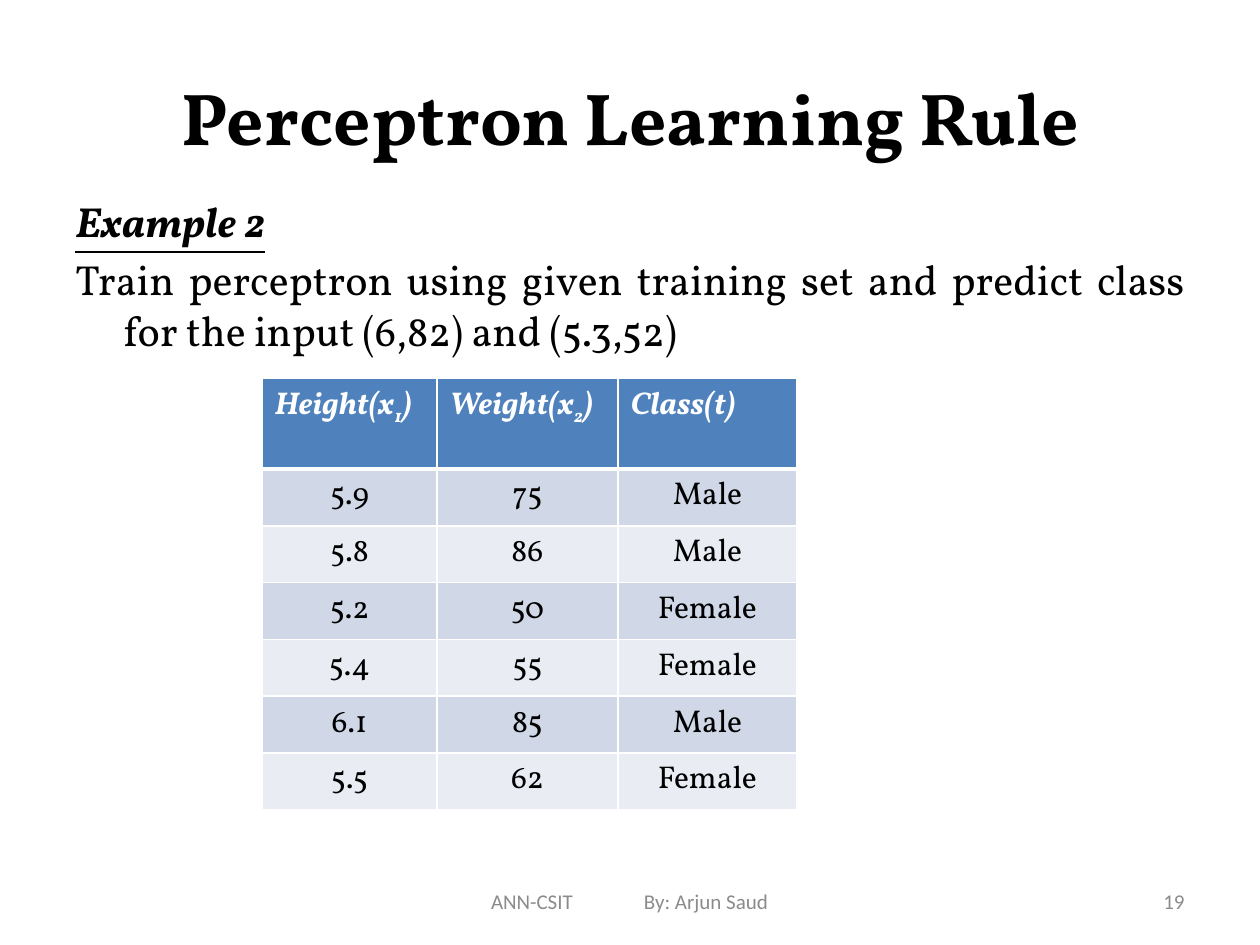
from lxml import etree
from pptx import Presentation
from pptx.dml.color import RGBColor
from pptx.enum.text import MSO_ANCHOR, PP_ALIGN
from pptx.oxml.ns import qn
from pptx.util import Emu, Pt

EMU_PER_PX = 914400 / 126
BLACK = RGBColor(0x00, 0x00, 0x00)
WHITE = RGBColor(0xFF, 0xFF, 0xFF)
GREY = RGBColor(0x8B, 0x8B, 0x8B)
BLUE = RGBColor(0x4F, 0x81, 0xBD)
BANDS = (RGBColor(0xD0, 0xD8, 0xE7), RGBColor(0xE9, 0xEC, 0xF3))
SERIF, SANS = "Vollkorn", "Calibri"
CENTER, RIGHT, JUSTIFY, LEFT = PP_ALIGN.CENTER, PP_ALIGN.RIGHT, PP_ALIGN.JUSTIFY, PP_ALIGN.LEFT
TOP, MIDDLE, BOTTOM = MSO_ANCHOR.TOP, MSO_ANCHOR.MIDDLE, MSO_ANCHOR.BOTTOM
THIN, THICK = Pt(0.96), Pt(3)

COLUMN_WIDTHS = (175, 181, 179)
HEADER_HEIGHT, ROW_HEIGHT = 91, 51
# Each heading: text, subscript, closing text
HEADINGS = (("Height(x", "1", ")"), ("Weight(x", "2", ")"), ("Class(t)",))
SAMPLES = (
    ("5.9", "75", "Male"),
    ("5.8", "86", "Male"),
    ("5.2", "50", "Female"),
    ("5.4", "55", "Female"),
    ("6.1", "85", "Male"),
    ("5.5", "62", "Female"),
)


def px(length):
    return Emu(round(length * EMU_PER_PX))


def style(span, size, color, name=SERIF, bold=False, italic=False):
    font = span.font
    font.size, font.name = Pt(size), name
    font.bold, font.italic = bold, italic
    font.color.rgb = color


def add_box(page, left, top, width, height, anchor=TOP):
    box = page.shapes.add_textbox(px(left), px(top), px(width), px(height))
    box.text_frame.word_wrap = True
    box.text_frame.vertical_anchor = anchor
    return box


def set_title(page, text):
    title = page.shapes.title
    title.left, title.top, title.width, title.height = px(63), px(38), px(1134), px(157)
    title.text_frame.text = text
    title.text_frame.vertical_anchor = MIDDLE
    para = title.text_frame.paragraphs[0]
    para.alignment = CENTER
    style(para.runs[0], 42, BLACK, bold=True)


def add_exercise(page, heading, task):
    frame = add_box(page, 63, 189, 1134, 693).text_frame
    frame.text = f"{heading}\n{task}"
    for para, is_heading in zip(frame.paragraphs, (True, False)):
        para.alignment = JUSTIFY
        properties = para._p.get_or_add_pPr()
        properties.set("marL", str(px(48)))
        properties.set("indent", str(px(-48)))
        style(para.runs[0], 24, BLACK, bold=is_heading, italic=is_heading)
        para.runs[0].font.underline = is_heading
    frame.paragraphs[1].space_before = Pt(4.8)


def set_borders(cell, top, bottom):
    properties = cell._tc.get_or_add_tcPr()
    sides = (("L", THIN), ("R", THIN), ("T", top), ("B", bottom))
    for position, (side, width) in enumerate(sides):
        line = etree.Element(qn(f"a:ln{side}"), w=str(width))
        fill = etree.SubElement(line, qn("a:solidFill"))
        etree.SubElement(fill, qn("a:srgbClr"), val=str(WHITE))
        properties.insert(position, line)


def fill_header(cell, parts):
    para = cell.text_frame.paragraphs[0]
    for position, part in enumerate(parts):
        span = para.add_run()
        span.text = part
        style(span, 18, WHITE, bold=True, italic=True)
        if position == 1:
            span.font._element.set("baseline", "-25000")
    cell.fill.solid()
    cell.fill.fore_color.rgb = BLUE
    set_borders(cell, THIN, THICK)


def fill_sample(cell, text, row):
    cell.text_frame.text = text
    cell.vertical_anchor = BOTTOM
    cell.margin_left = cell.margin_right = px(1)
    cell.margin_top, cell.margin_bottom = px(6), px(13)
    para = cell.text_frame.paragraphs[0]
    para.alignment = CENTER
    style(para.runs[0], 18, BLACK)
    cell.fill.solid()
    cell.fill.fore_color.rgb = BANDS[row % 2]
    set_borders(cell, THICK if row == 0 else THIN, THIN)


def add_training_table(page):
    height = HEADER_HEIGHT + ROW_HEIGHT * len(SAMPLES)
    table = page.shapes.add_table(
        len(SAMPLES) + 1, len(HEADINGS), px(262), px(378), px(sum(COLUMN_WIDTHS)), px(height)
    ).table
    for column, width in zip(table.columns, COLUMN_WIDTHS):
        column.width = px(width)
    for position, row in enumerate(table.rows):
        row.height = px(ROW_HEIGHT if position else HEADER_HEIGHT)
    for column, parts in enumerate(HEADINGS):
        fill_header(table.cell(0, column), parts)
    for row, sample in enumerate(SAMPLES):
        for column, text in enumerate(sample):
            fill_sample(table.cell(row + 1, column), text, row)


def add_footer(page, left, width, text, alignment):
    box = add_box(page, left, 876, width, 50, MIDDLE)
    box.text_frame.text = text
    para = box.text_frame.paragraphs[0]
    para.alignment = alignment
    for span in para.runs:
        style(span, 12, GREY, SANS)
    return box


def add_tab_stop(para, position):
    tabs = etree.Element(qn("a:tabLst"))
    etree.SubElement(tabs, qn("a:tab"), pos=str(px(position)), algn="l")
    para._p.get_or_add_pPr().append(tabs)


def main():
    deck = Presentation()
    deck.slide_width, deck.slide_height = px(1260), px(945)
    page = deck.slides.add_slide(deck.slide_layouts[5])
    set_title(page, "Perceptron Learning Rule")
    add_exercise(
        page,
        "Example 2",
        "Train perceptron using given training set and predict class "
        "for the input (6,82) and (5.3,52)",
    )
    add_training_table(page)
    course = add_footer(page, 431, 399, "ANN-CSIT\tBy: Arjun Saud", LEFT)
    course.text_frame.margin_left = px(60)
    add_tab_stop(course.text_frame.paragraphs[0], 153)
    add_footer(page, 903, 294, "19", RIGHT)
    deck.save("out.pptx")


if __name__ == "__main__":
    main()
